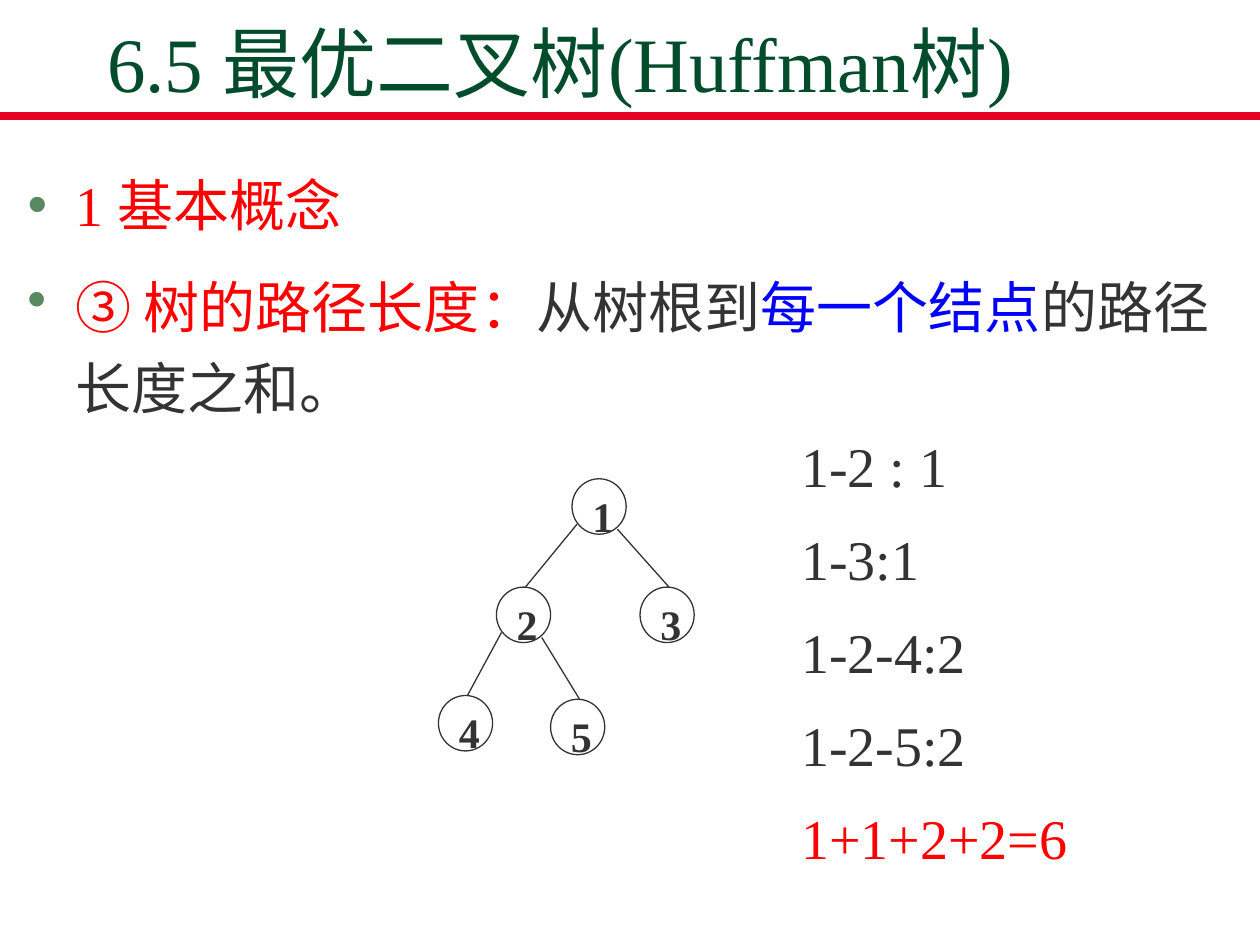
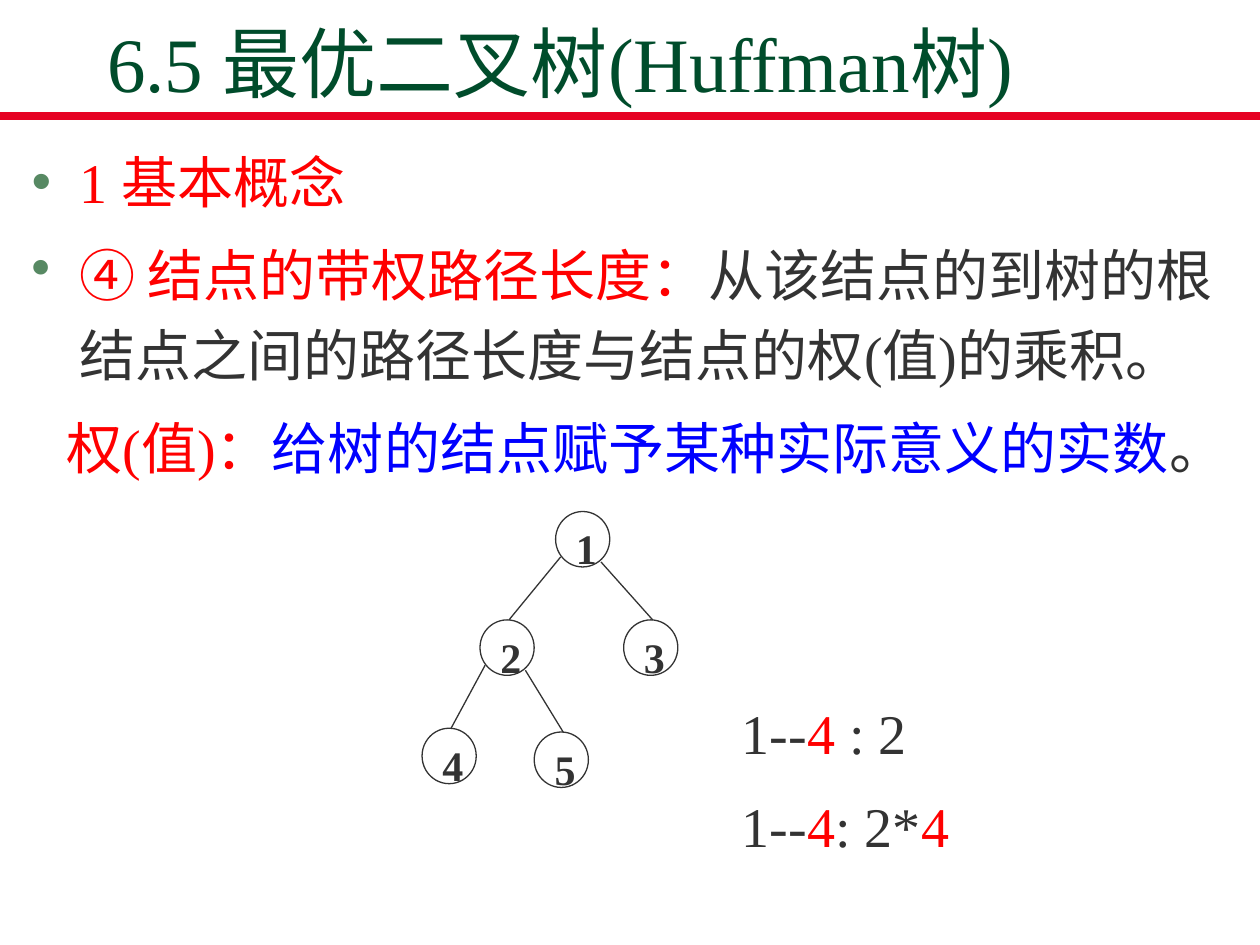
"""Build two slides on path length and weighted path length in Huffman trees."""
import pptx
import pptx.dml.color
import pptx.enum.shapes
import pptx.enum.text
import pptx.oxml.ns
import pptx.util
from lxml import etree

Inches, Pt = pptx.util.Inches, pptx.util.Pt
rgb = pptx.dml.color.RGBColor.from_string
PP_ALIGN = pptx.enum.text.PP_ALIGN
FONT = "Times New Roman"
INK, RED, BLUE, GREEN = "333333", "FF0000", "0000FF", "004C2B"
BULLET_GREEN, RULE_RED = "578963", "E60223"
HEADING = "6.5 最优二叉树(Huffman树)"
SECTION = "1 基本概念"


def write(frame, paragraphs, size=32, bold=False, spacing=1.2, top=0.12,
          left=0.1, bullets=0, indent=0, align=PP_ALIGN.LEFT):
    """Fill a frame with paragraphs of (text, colour) runs; the first `bullets` ones are bulleted."""
    frame.word_wrap = True
    frame.auto_size = pptx.enum.text.MSO_AUTO_SIZE.NONE
    frame.margin_top, frame.margin_left = Inches(top), Inches(left)
    for number, runs in enumerate(paragraphs):
        paragraph = frame.add_paragraph() if number else frame.paragraphs[0]
        paragraph.alignment = align
        paragraph.line_spacing = spacing
        paragraph.space_before = Pt(7 if number else 0)
        properties = paragraph._p.get_or_add_pPr()
        if number < bullets:
            properties.set("marL", str(Inches(0.38)))
            properties.set("indent", str(Inches(-0.38)))
            colour = etree.SubElement(properties, pptx.oxml.ns.qn("a:buClr"))
            etree.SubElement(colour, pptx.oxml.ns.qn("a:srgbClr"), val=BULLET_GREEN)
            etree.SubElement(properties, pptx.oxml.ns.qn("a:buChar"), char="•")
        elif indent:
            properties.set("marL", "0")
            properties.set("indent", str(Inches(indent)))
        for text, run_colour in runs:
            run = paragraph.add_run()
            run.text = text
            run.font.name, run.font.size, run.font.bold = FONT, Pt(size), bold
            run.font.color.rgb = rgb(run_colour)


def draw_line(shapes, start, end, colour=INK, width=0.75):
    """Draw a straight line without a shadow between two points in inches."""
    line = shapes.add_connector(pptx.enum.shapes.MSO_CONNECTOR.STRAIGHT,
                                *(Inches(value) for value in (*start, *end)))
    line.line.color.rgb = rgb(colour)
    line.line.width = Pt(width)
    etree.SubElement(line._element.spPr, pptx.oxml.ns.qn("a:effectLst"))


NODES = {"1": (1.06, 0), "2": (0.46, 0.86), "3": (1.6, 0.86),
         "4": (0, 1.72), "5": (0.89, 1.75)}
LEFT_EXIT, RIGHT_EXIT = (0.04, 0.36), (0.36, 0.4)
EDGES = [("1", "2", LEFT_EXIT), ("1", "3", RIGHT_EXIT),
         ("2", "4", LEFT_EXIT), ("2", "5", RIGHT_EXIT)]

SLIDES = [
    {
        "section": (0.12, 1.25, 9.76, 0.68),
        "definition_at": (0.12, 1.94, 9.76, 1.36),
        "definition": [[("③ 树的路径长度：", RED), ("从树根到", INK),
                        ("每一个结点", BLUE), ("的路径长度之和。", INK)]],
        "tree": (3.48, 3.8),
        "lengths_at": (6.26, 3.2, 2.99, 3.76),
        "lengths": [[("1-2 : 1", INK)], [("1-3:1", INK)], [("1-2-4:2", INK)],
                    [("1-2-5:2", INK)], [("1+1+2+2=6", RED)]],
    },
    {
        "section": (0.15, 1.07, 9.76, 0.7),
        "definition_at": (0.15, 1.68, 9.76, 2.22),
        "definition": [[("④ 结点的带权路径长度：", RED),
                        ("从该结点的到树的根结点之间的路径长度与结点的权(值)的乘积。", INK)],
                       [("权(值)：", RED), ("给树的结点赋予某种实际意义的实数", BLUE),
                        ("。", INK)]],
        "tree": (3.35, 4.06),
        "lengths_at": (5.79, 5.32, 2.99, 1.5),
        "lengths": [[("1--", INK), ("4", RED), (" : 2", INK)],
                    [("1--", INK), ("4", RED), (": 2*", INK), ("4", RED)]],
    },
]

presentation = pptx.Presentation()
presentation.slide_width, presentation.slide_height = Inches(10), Inches(7.5)

for content in SLIDES:
    slide = presentation.slides.add_slide(presentation.slide_layouts[1])
    draw_line(slide.shapes, (0, 0.92), (10, 0.92), RULE_RED, 4.5)

    heading, section = slide.shapes.title, slide.placeholders[1]
    for placeholder, place in ((heading, (0.75, 0.26, 8.5, 0.65)),
                               (section, content["section"])):
        (placeholder.left, placeholder.top,
         placeholder.width, placeholder.height) = map(Inches, place)
    write(heading.text_frame, [[(HEADING, GREEN)]], size=44, spacing=1, top=0.05)
    heading.text_frame.vertical_anchor = pptx.enum.text.MSO_ANCHOR.BOTTOM
    write(section.text_frame, [[(SECTION, RED)]], spacing=1, top=0.1, bullets=1)

    definition = slide.shapes.add_textbox(*map(Inches, content["definition_at"]))
    write(definition.text_frame, content["definition"], bullets=1, indent=0.28)

    tree = slide.shapes.add_group_shape()
    tree_left, tree_top = content["tree"]
    corners = {label: (tree_left + x, tree_top + y) for label, (x, y) in NODES.items()}
    for label, (x, y) in corners.items():
        node = tree.shapes.add_shape(pptx.enum.shapes.MSO_SHAPE.OVAL, Inches(x),
                                     Inches(y), Inches(0.43), Inches(0.44))
        node.shadow.inherit = False
        node.fill.background()
        node.line.color.rgb = rgb(INK)
        node.line.width = Pt(0.75)
        write(node.text_frame, [[(label, INK)]], size=24, bold=True, top=0.06,
              left=0.06, align=PP_ALIGN.CENTER)
        node.text_frame.margin_right = node.text_frame.margin_bottom = 0
        node.text_frame.vertical_anchor = pptx.enum.text.MSO_ANCHOR.MIDDLE
        node.text_frame.word_wrap = False
    for parent, child, (exit_x, exit_y) in EDGES:
        (parent_x, parent_y), (child_x, child_y) = corners[parent], corners[child]
        draw_line(tree.shapes, (parent_x + exit_x, parent_y + exit_y),
                  (child_x + 0.23, child_y))

    lengths = slide.shapes.add_textbox(*map(Inches, content["lengths_at"]))
    write(lengths.text_frame, content["lengths"])

presentation.save("out.pptx")
